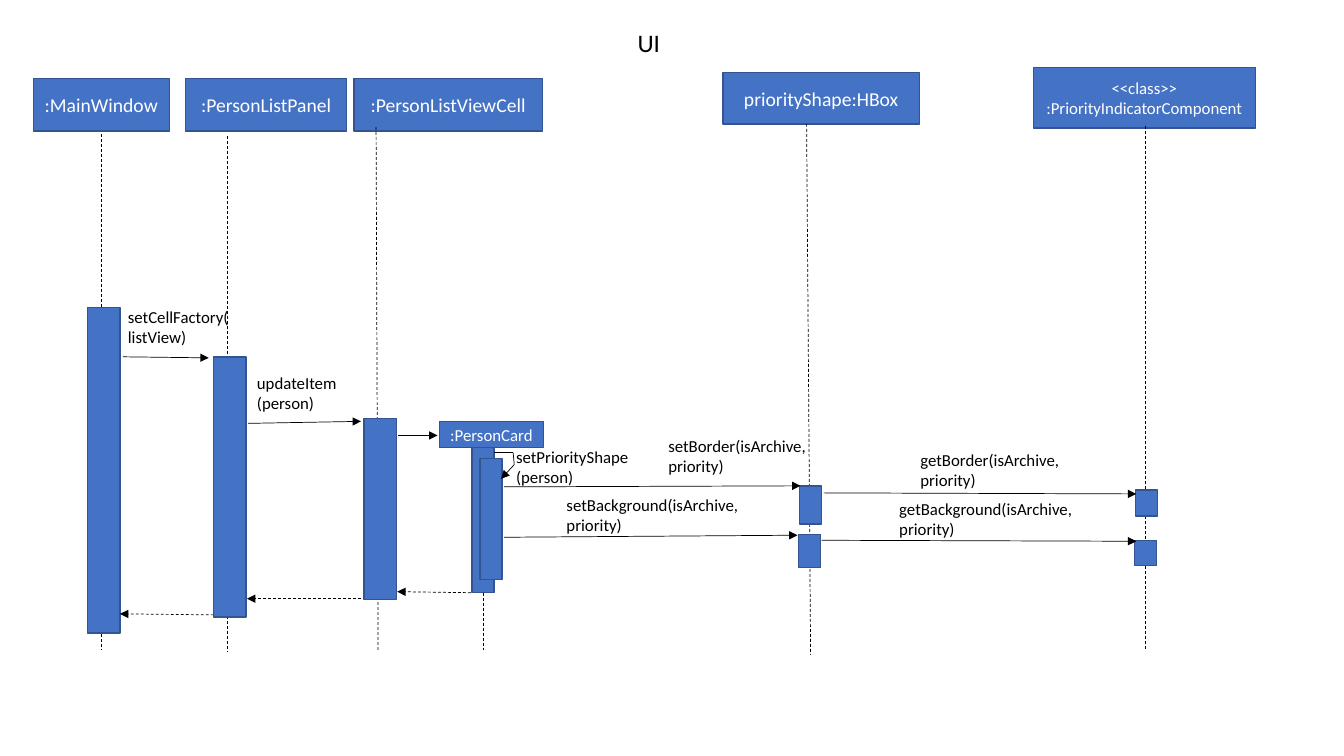
from collections import namedtuple

from lxml import etree
from pptx import Presentation
from pptx.dml.color import RGBColor
from pptx.enum.dml import MSO_LINE_DASH_STYLE as DASH
from pptx.enum.shapes import MSO_CONNECTOR as CONN, MSO_SHAPE as SHAPE
from pptx.enum.text import MSO_ANCHOR as ANCHOR, MSO_AUTO_SIZE as FIT, PP_ALIGN as ALIGN
from pptx.oxml.ns import qn
from pptx.util import Inches, Pt

BLUE = RGBColor(0x44, 0x72, 0xC4)
EDGE = RGBColor(0x32, 0x54, 0x91)
WHITE = RGBColor(0xFF, 0xFF, 0xFF)
BLACK = RGBColor(0, 0, 0)
FONT = "Calibri"
CELL = Inches(0.1)
Box = namedtuple("Box", "x y w h")
Participant = namedtuple("Participant", "name size head lifeline bars")

PARTICIPANTS = [
    Participant(":MainWindow", 14, (3.3, 7.8, 13.5, 5.2),
                (10.1, 13.3, 10.1, 64.5), [(8.7, 30.5, 3.2, 32.3)]),
    Participant(":PersonListPanel", 14, (18.4, 7.8, 16, 5.2),
                (22.5, 13.5, 22.5, 64.6), [(21.2, 35.4, 3.2, 25.8)]),
    Participant(":PersonListViewCell", 14, (35.1, 7.8, 18.7, 5.2),
                (37.3, 12.6, 37.5, 64.5), [(36.1, 41.5, 3.2, 18)]),
    Participant(":PersonCard", 12, (43.6, 41.8, 10.3, 2.6),
                (47.9, 58.8, 47.9, 64.5),
                [(46.8, 44.4, 2.2, 14.4), (47.6, 45.5, 2.2, 12)]),
    Participant("priorityShape:HBox", 14, (71.7, 7.2, 19.5, 5.1),
                (80, 12.3, 80.4, 65),
                [(79.3, 48.2, 2.2, 3.8), (79.2, 53, 2.2, 3.3)]),
    Participant("<<class>>\n:PriorityIndicatorComponent", 12, (102.5, 6.7, 22, 6),
                (113.6, 12.5, 113.6, 64.4),
                [(112.6, 48.6, 2.2, 2.6), (112.5, 53.6, 2.2, 2.5)]),
]
CALLS = [
    (12.2, 35.4, 20.7, 35.5),
    (24.6, 42, 35.8, 41.8),
    (39.5, 43.2, 43.4, 43.2),
    (50, 48.3, 79.4, 48.2),
    (50, 53.3, 79.1, 53.1),
    (81.7, 48.9, 112.7, 49),
    (81.5, 53.6, 112.7, 53.7),
]
RETURNS = [
    (46.7, 58.8, 39.4, 58.7),
    (35.8, 59.4, 24.5, 59.4),
    (21.2, 61, 11.9, 60.9),
]
SELF_CALL = [(49, 44.9), (50.9, 44.9), (51, 46.1), (49.7, 47.5)]
LABELS = [
    ("setCellFactory(listView)", (11.7, 29.9, 12, 5)),
    ("updateItem(person)", (24.5, 36.5, 10.2, 5)),
    ("setPriorityShape(person)", (50.2, 43.8, 13.5, 5)),
    ("setBorder(isArchive, priority)", (65.3, 42.7, 17, 5)),
    ("setBackground(isArchive, priority)", (55.2, 48.6, 22.8, 5)),
    ("getBorder(isArchive, priority)", (90.3, 44.1, 20.4, 5)),
    ("getBackground(isArchive, priority)", (88.2, 49, 23.5, 5)),
]


def place(area, cells):
    """Turn a box in grid cells into lengths within the area."""
    x, y, w, h = cells
    return [int(v) for v in (area.x + x * CELL, area.y + y * CELL, w * CELL, h * CELL)]


def write(tf, text, size, color, align):
    """Fill a text frame with one paragraph per line."""
    tf.word_wrap = True
    tf.text = text
    for p in tf.paragraphs:
        p.alignment = align
        p.font.name, p.font.size = FONT, Pt(size)
        p.font.color.rgb = color


def add_label(slide, area, cells, text, size=12, align=ALIGN.LEFT):
    """Add a growing text box."""
    tf = slide.shapes.add_textbox(*place(area, cells)).text_frame
    write(tf, text, size, BLACK, align)
    tf.auto_size = FIT.SHAPE_TO_FIT_TEXT


def add_bar(slide, area, cells):
    """Add a blue outlined rectangle."""
    sp = slide.shapes.add_shape(SHAPE.RECTANGLE, *place(area, cells))
    sp.shadow.inherit = False
    sp.fill.solid()
    sp.fill.fore_color.rgb = BLUE
    sp.line.color.rgb, sp.line.width = EDGE, Pt(1)
    return sp


def add_line(slide, area, ends, dashed=False, arrow=False):
    """Add a thin straight line, dashed or with an arrowhead if asked."""
    x1, y1, x2, y2 = [int(v * CELL) for v in ends]
    ln = slide.shapes.add_connector(CONN.STRAIGHT, area.x + x1, area.y + y1,
                                    area.x + x2, area.y + y2)
    ln.line.color.rgb, ln.line.width = BLACK, Pt(0.5)
    if dashed:
        ln.line.dash_style = DASH.DASH
    if arrow:
        etree.SubElement(ln.line._get_or_add_ln(), qn("a:tailEnd"), type="triangle")
    etree.SubElement(ln._element.spPr, qn("a:effectLst"))


def add_title(slide, area):
    """Add the diagram's title."""
    add_label(slide, area, (50, 2.2, 28.7, 4.1), "UI", 18, ALIGN.CENTER)


def add_participant(slide, area, who):
    """Add a header with its lifeline and activation bars."""
    tf = add_bar(slide, area, who.head).text_frame
    tf.vertical_anchor = ANCHOR.MIDDLE
    tf.margin_top = tf.margin_bottom = Inches(0.05)
    write(tf, who.name, who.size, WHITE, ALIGN.CENTER)
    add_line(slide, area, who.lifeline, dashed=True)
    for bar in who.bars:
        add_bar(slide, area, bar)


def add_messages(slide, area):
    """Add calls, returns, the self call and their labels."""
    for ends in CALLS:
        add_line(slide, area, ends, arrow=True)
    for ends in RETURNS:
        add_line(slide, area, ends, dashed=True, arrow=True)
    for start, end in zip(SELF_CALL, SELF_CALL[1:]):
        add_line(slide, area, start + end, arrow=end == SELF_CALL[-1])
    for text, cells in LABELS:
        add_label(slide, area, cells, text)


def build():
    """Build the sequence diagram slide and save it."""
    prs = Presentation()
    prs.slide_width, prs.slide_height = Inches(13.33), Inches(7.5)
    slide = prs.slides.add_slide(prs.slide_layouts[6])
    area = Box(0, 0, prs.slide_width, prs.slide_height)
    add_title(slide, area)
    for who in PARTICIPANTS:
        add_participant(slide, area, who)
    add_messages(slide, area)
    prs.save("out.pptx")


build()
